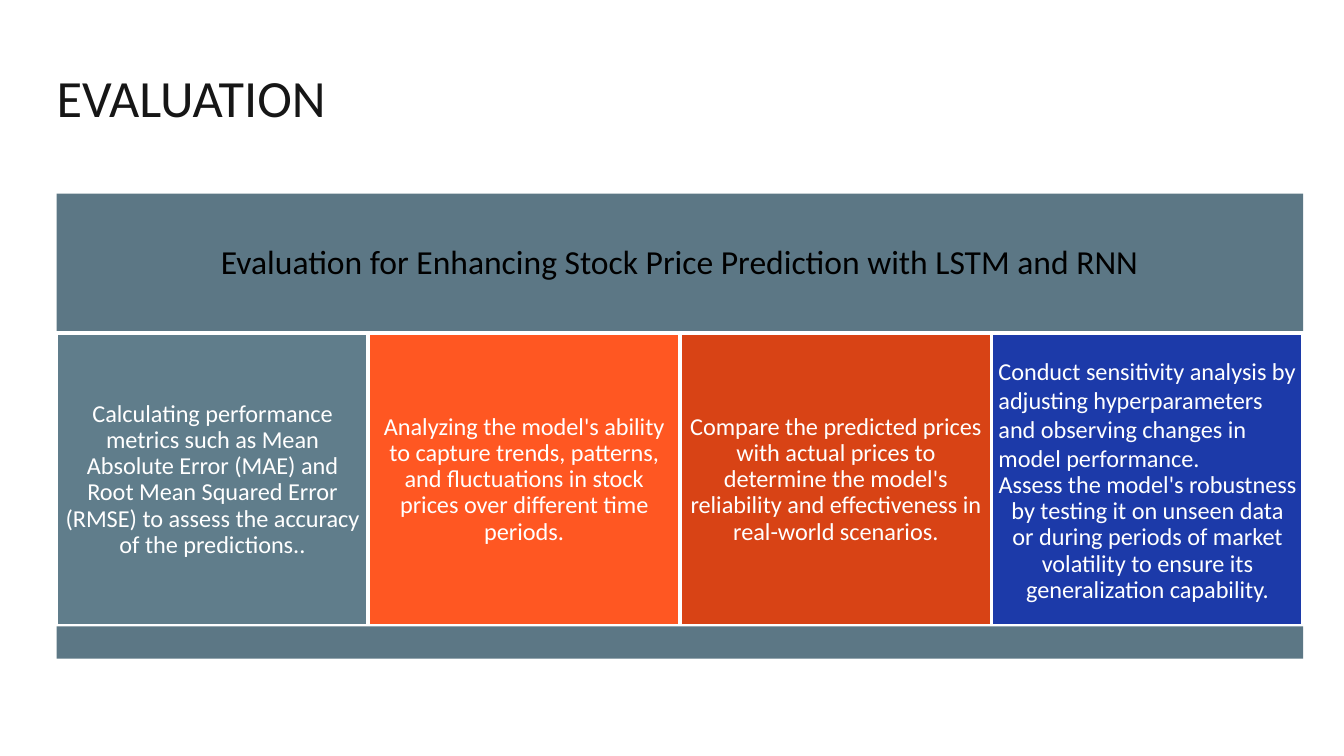
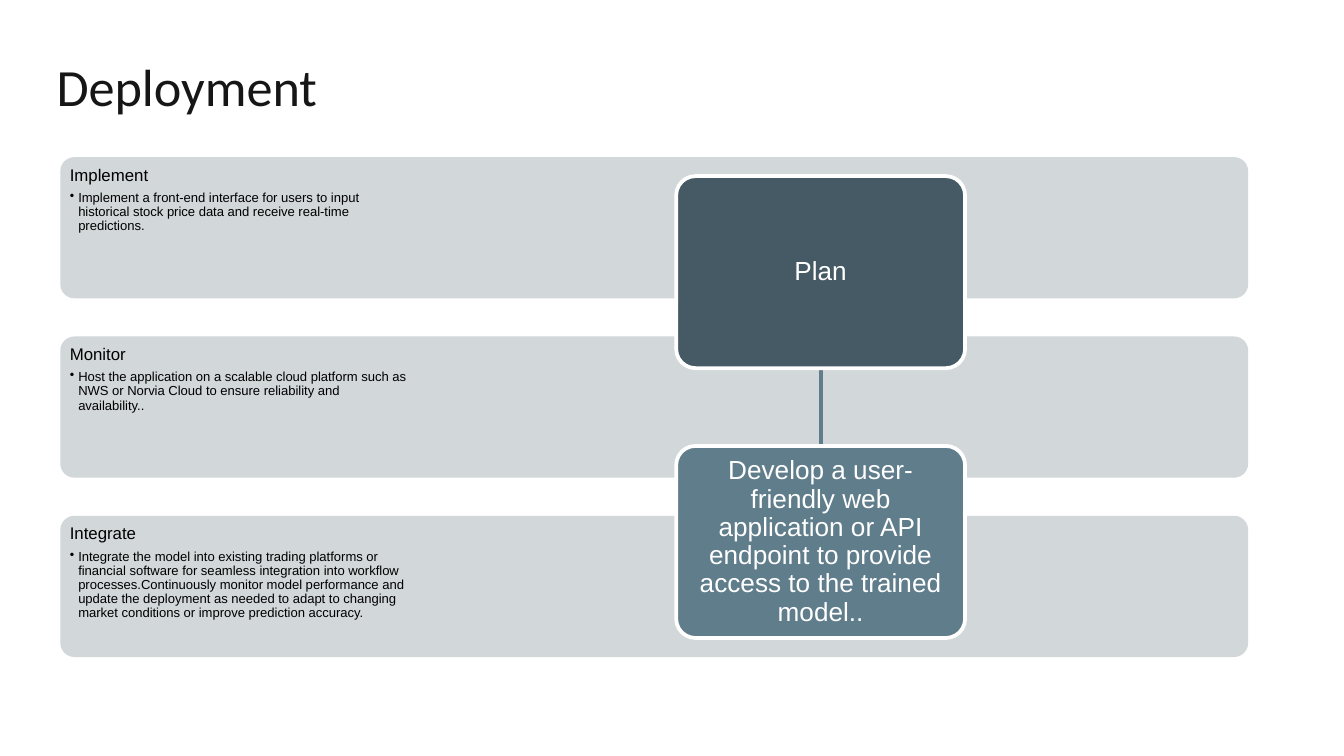
from lxml import etree
from pptx import Presentation
from pptx.dml.color import RGBColor
from pptx.enum.shapes import MSO_CONNECTOR, MSO_SHAPE
from pptx.enum.text import MSO_ANCHOR, PP_ALIGN
from pptx.oxml.ns import qn
from pptx.util import Cm, Pt

RECTANGLE = MSO_SHAPE.RECTANGLE
ROUNDED = MSO_SHAPE.ROUNDED_RECTANGLE
STRAIGHT = MSO_CONNECTOR.STRAIGHT
TOP, MIDDLE = MSO_ANCHOR.TOP, MSO_ANCHOR.MIDDLE
LEFT, CENTER = PP_ALIGN.LEFT, PP_ALIGN.CENTER

WHITE = RGBColor(0xFF, 0xFF, 0xFF)
BLACK = RGBColor(0, 0, 0)
INK = RGBColor(0x16, 0x16, 0x16)
SLATE = RGBColor(0x5C, 0x77, 0x85)
BLUE_GREY = RGBColor(0x60, 0x7D, 0x8B)
DARK_GREY = RGBColor(0x45, 0x5A, 0x64)
PALE_GREY = RGBColor(0xD2, 0xD7, 0xDA)
ORANGE = RGBColor(0xFF, 0x57, 0x22)
RUST = RGBColor(0xD8, 0x43, 0x15)
ROYAL_BLUE = RGBColor(0x1C, 0x3A, 0xA9)

HEADING_FONT = "Calibri"
DIAGRAM_FONT = "Arial"
MARGIN = 1.07

PANELS = [
    (BLUE_GREY, ["Calculating performance metrics such as Mean Absolute Error (MAE) and "
                 "Root Mean Squared Error (RMSE) to assess the accuracy of the predictions.."]),
    (ORANGE, ["Analyzing the model's ability to capture trends, patterns, and fluctuations "
              "in stock prices over different time periods."]),
    (RUST, ["Compare the predicted prices with actual prices to determine the model's "
            "reliability and effectiveness in real-world scenarios."]),
    (ROYAL_BLUE, ["Conduct sensitivity analysis by adjusting hyperparameters and observing "
                  "changes in model performance.",
                  "Assess the model's robustness by testing it on unseen data or during periods "
                  "of market volatility to ensure its generalization capability."]),
]
STAGES = [
    ("Implement", "Implement a front-end interface for users to input historical stock price "
                  "data and receive real-time predictions."),
    ("Monitor", "Host the application on a scalable cloud platform such as NWS or Norvia Cloud "
                "to ensure reliability and availability.."),
    ("Integrate", "Integrate the model into existing trading platforms or financial software for "
                  "seamless integration into workflow processes.Continuously monitor model "
                  "performance and update the deployment as needed to adapt to changing market "
                  "conditions or improve prediction accuracy."),
]
CARDS = [
    (DARK_GREY, "Plan"),
    (BLUE_GREY, "Develop a user-friendly web application or API endpoint to provide access "
                "to the trained model.."),
]


def format_paragraph(paragraph, font, size, color, align=LEFT, spacing=0.9):
    paragraph.alignment = align
    paragraph.line_spacing = spacing
    for run in paragraph.runs:
        run.font.name = font
        run.font.size = Pt(size)
        run.font.color.rgb = color


def write_text(shape, lines, font, size, color, align=LEFT, anchor=MIDDLE, inset=0.0):
    frame = shape.text_frame
    frame.word_wrap = True
    frame.vertical_anchor = anchor
    frame.margin_left = frame.margin_right = Cm(inset)
    frame.margin_top = frame.margin_bottom = Cm(inset)
    frame.text = "\n".join(lines)
    for paragraph in frame.paragraphs:
        format_paragraph(paragraph, font, size, color, align)
    return frame


def add_block(slide, kind, left, top, width, height, fill, outlined=False):
    shape = slide.shapes.add_shape(kind, Cm(left), Cm(top), Cm(width), Cm(height))
    shape.shadow.inherit = False
    shape.fill.solid()
    shape.fill.fore_color.rgb = fill
    if kind == ROUNDED:
        shape.adjustments[0] = 0.1
    if outlined:
        shape.line.color.rgb = WHITE
        shape.line.width = Pt(2)
    else:
        shape.line.fill.background()
    return shape


def add_title(slide, text, height):
    box = slide.shapes.add_textbox(Cm(MARGIN), Cm(0.94), Cm(23.24), Cm(height))
    frame = write_text(box, [text], HEADING_FONT, 28, INK)
    frame.paragraphs[0].line_spacing = 1.0


def add_bullet(paragraph, indent):
    properties = paragraph._p.get_or_add_pPr()
    properties.set("marL", str(indent))
    properties.set("indent", str(-indent))
    etree.SubElement(properties, qn("a:buChar")).set("char", "•")


def add_stage(slide, top, heading, detail):
    left, height = 1.14, 2.67
    add_block(slide, ROUNDED, left, top, 22.45, height, PALE_GREY)
    box = slide.shapes.add_textbox(Cm(left), Cm(top), Cm(6.73), Cm(height))
    frame = write_text(box, [heading, detail], DIAGRAM_FONT, 9, BLACK, anchor=TOP, inset=0.18)
    title, bullet = frame.paragraphs
    title.space_after = Pt(3.5)
    format_paragraph(bullet, DIAGRAM_FONT, 7, BLACK)
    add_bullet(bullet, Cm(0.16))


def add_link(slide, x, top, bottom):
    connector = slide.shapes.add_connector(STRAIGHT, Cm(x), Cm(top), Cm(x), Cm(bottom))
    connector.line.color.rgb = BLUE_GREY
    connector.line.width = Pt(2)
    etree.SubElement(connector._element.spPr, qn("a:effectLst"))


def build_evaluation(slide):
    panel_width, panel_top, panel_height = 5.89, 6.3, 5.54
    full_width = panel_width * len(PANELS)
    add_title(slide, "EVALUATION", 1.78)
    banner = add_block(slide, RECTANGLE, MARGIN, 3.66, full_width, 2.64, SLATE)
    write_text(banner, ["Evaluation for Enhancing Stock Price Prediction with LSTM and RNN"],
               HEADING_FONT, 18, BLACK, CENTER, inset=0.18)
    for index, (color, lines) in enumerate(PANELS):
        panel = add_block(slide, RECTANGLE, MARGIN + index * panel_width, panel_top,
                          panel_width, panel_height, color, outlined=True)
        frame = write_text(panel, lines, HEADING_FONT, 13, WHITE, CENTER, inset=0.13)
        for paragraph in frame.paragraphs[:-1]:
            format_paragraph(paragraph, HEADING_FONT, 13, WHITE, LEFT, 1.0)
    add_block(slide, RECTANGLE, MARGIN, panel_top + panel_height, full_width, 0.61, SLATE)


def build_deployment(slide):
    card_left, card_top, card_width, card_height, card_pitch = 12.78, 3.33, 5.46, 3.63, 5.1
    add_title(slide, "Deployment", 1.37)
    for index, (heading, detail) in enumerate(STAGES):
        add_stage(slide, 2.97 + index * 3.39, heading, detail)
    add_link(slide, card_left + card_width / 2, card_top + card_height, card_top + card_pitch)
    for index, (color, text) in enumerate(CARDS):
        card = add_block(slide, ROUNDED, card_left, card_top + index * card_pitch,
                         card_width, card_height, color, outlined=True)
        write_text(card, [text], DIAGRAM_FONT, 14, WHITE, CENTER, inset=0.15)


def main():
    presentation = Presentation()
    presentation.slide_width = Cm(25.4)
    presentation.slide_height = Cm(14.29)
    blank = presentation.slide_layouts[6]
    for build in (build_evaluation, build_deployment):
        build(presentation.slides.add_slide(blank))
    presentation.save("out.pptx")


if __name__ == "__main__":
    main()
